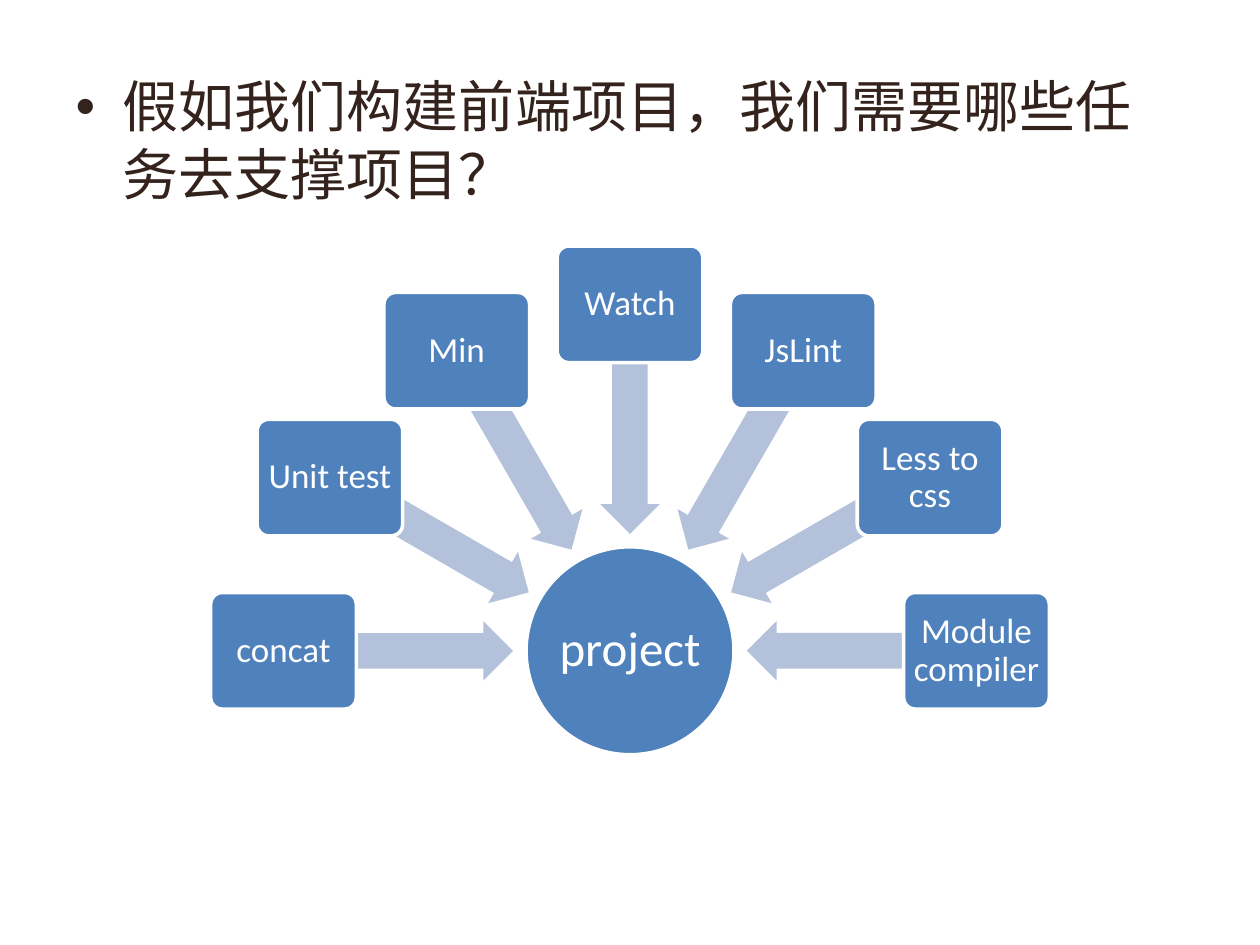
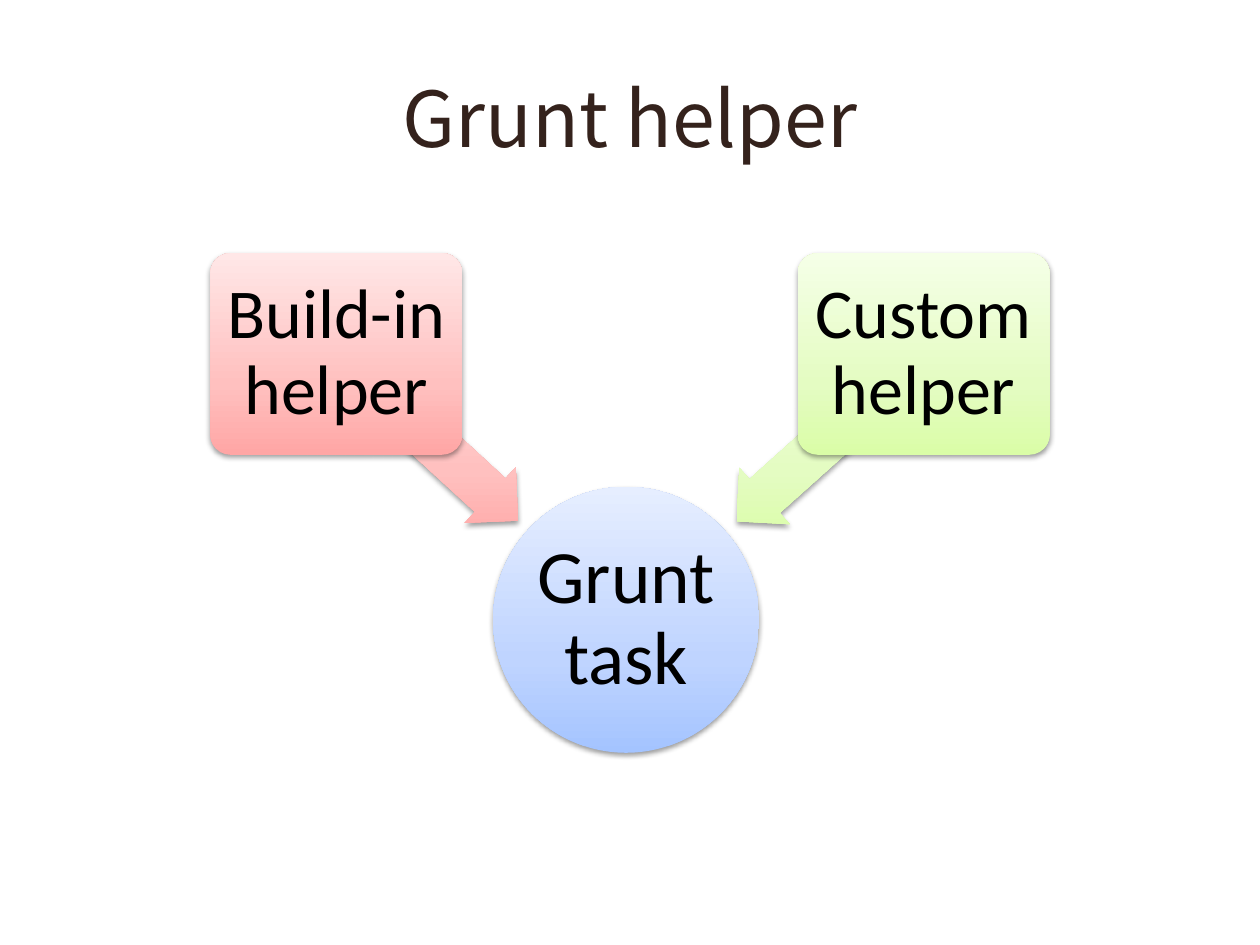
from math import cos, radians, sin

from lxml.etree import SubElement
from pptx import Presentation
from pptx.dml.color import RGBColor
from pptx.enum.shapes import MSO_SHAPE as Preset
from pptx.enum.text import MSO_ANCHOR as Anchor, PP_ALIGN as Align
from pptx.oxml.ns import qn
from pptx.util import Pt

BROWN = RGBColor(0x34, 0x22, 0x1C)
WHITE = RGBColor(0xFF, 0xFF, 0xFF)
BLACK = RGBColor(0x00, 0x00, 0x00)
BLUE = RGBColor(0x4F, 0x81, 0xBD)
PALE_BLUE = RGBColor(0xB3, 0xC1, 0xDB)

# Gradients run from the bottom of a shape to its top
STOPS = (0, 35, 100)
BLUES = (RGBColor(0xA4, 0xC4, 0xFF), RGBColor(0xBF, 0xD4, 0xFF), RGBColor(0xE6, 0xEE, 0xFF))
REDS = (RGBColor(0xFF, 0xA6, 0xA5), RGBColor(0xFF, 0xC0, 0xBF), RGBColor(0xFF, 0xE7, 0xE7))
GREENS = (RGBColor(0xDA, 0xFD, 0xA7), RGBColor(0xE4, 0xFC, 0xC2), RGBColor(0xF5, 0xFF, 0xE7))

HEADING_FONT = "Noto Sans CJK SC"
LABEL_FONT = "Calibri"

TASKS = ["concat", "Unit test", "Min", "Watch", "JsLint", "Less to css", "Module compiler"]


def write(frame, text, size, color, font=LABEL_FONT, align=None, spacing=None):
    """Put one formatted paragraph into a text frame."""
    paragraph = frame.paragraphs[0]
    paragraph.alignment = align
    paragraph.line_spacing = spacing
    run = paragraph.add_run()
    run.text = text
    run.font.size = Pt(size)
    run.font.name = font
    run.font.color.rgb = color
    SubElement(run.font._element, qn("a:ea"), typeface=font)


def place(holder, left, top, width, height):
    holder.left, holder.top = Pt(left), Pt(top)
    holder.width, holder.height = Pt(width), Pt(height)


def label(shape, text, size, color, inset):
    """Centre a label inside a shape."""
    frame = shape.text_frame
    frame.word_wrap = True
    frame.vertical_anchor = Anchor.MIDDLE
    frame.margin_left = frame.margin_right = Pt(inset)
    frame.margin_top = frame.margin_bottom = Pt(inset)
    write(frame, text, size, color, align=Align.CENTER, spacing=0.9)


def add_centred(diagram, preset, center, size, adjustments=(), rotation=0):
    """Add a preset shape by its centre, without line or shadow."""
    (x, y), (width, height) = center, size
    shape = diagram.shapes.add_shape(
        preset, Pt(x - width / 2), Pt(y - height / 2), Pt(width), Pt(height))
    for index, value in enumerate(adjustments):
        shape.adjustments[index] = value
    shape.rotation = rotation
    shape.shadow.inherit = False
    shape.line.fill.background()
    return shape


def add_circle(diagram, center, diameter):
    return add_centred(diagram, Preset.OVAL, center, (diameter, diameter))


def add_box(diagram, center, size):
    return add_centred(diagram, Preset.ROUNDED_RECTANGLE, center, size, [0.1])


def add_arrow(diagram, center, size, rotation):
    return add_centred(diagram, Preset.LEFT_ARROW, center, size, [0.6, 0.5], rotation)


def paint_flat(shape, color, outline=None):
    shape.fill.solid()
    shape.fill.fore_color.rgb = color
    if outline is not None:
        shape.line.color.rgb = outline
        shape.line.width = Pt(2)


def paint_raised(shape, colors):
    """Give a shape an upright three-stop gradient and a soft shadow below."""
    shape.fill.gradient()
    shape.fill.gradient_angle = 90
    properties = shape.element.spPr
    gradient = properties.find(qn("a:gradFill"))
    gradient.set("rotWithShape", "0")
    stops = gradient.find(qn("a:gsLst"))
    for old_stop in list(stops):
        stops.remove(old_stop)
    for position, color in zip(STOPS, colors):
        stop = SubElement(stops, qn("a:gs"), pos=str(position * 1000))
        SubElement(stop, qn("a:srgbClr"), val=str(color))

    shadow = SubElement(
        properties.find(qn("a:effectLst")), qn("a:outerShdw"),
        blurRad=str(Pt(3.1)), dist=str(Pt(1.6)), dir="5400000", rotWithShape="0")
    shade = SubElement(shadow, qn("a:srgbClr"), val=str(BLACK))
    SubElement(shade, qn("a:alpha"), val="38000")


def build_tasks_slide(deck):
    slide = deck.slides.add_slide(deck.slide_layouts[1])
    title, question = slide.placeholders
    title.element.getparent().remove(title.element)
    place(question, 36, 37.5, 648, 445)
    write(question.text_frame, "假如我们构建前端项目，我们需要哪些任务去支撑项目？",
          32, BROWN, font=HEADING_FONT)

    # Tasks fan out in a half circle around the project
    diagram = slide.shapes.add_group_shape()
    hub_x, hub_y = 360, 371.9
    project = add_circle(diagram, (hub_x, hub_y), 118.8)
    paint_flat(project, BLUE, WHITE)
    label(project, "project", 28, WHITE, inset=1.5)

    step = 180 / (len(TASKS) - 1)
    for index, task in enumerate(TASKS):
        angle = 180 + index * step

        def on_ray(radius):
            return (hub_x + radius * cos(radians(angle)),
                    hub_y + radius * sin(radians(angle)))

        arrow = add_arrow(diagram, on_ray(132.3), (131, 33.9), angle % 360)
        paint_flat(arrow, PALE_BLUE)
        box = add_box(diagram, on_ray(198), (83.2, 66.6))
        paint_flat(box, BLUE, WHITE)
        label(box, task, 20, WHITE, inset=2.7)


def build_helper_slide(deck):
    slide = deck.slides.add_slide(deck.slide_layouts[5])
    title = slide.shapes.title
    place(title, 36, 21.6, 648, 90)
    write(title.text_frame, "Grunt helper", 44, BROWN, font=HEADING_FONT, align=Align.CENTER)

    # Two kinds of helper feed the task
    diagram = slide.shapes.add_group_shape()
    task = add_circle(diagram, (357.8, 354.2), 152)
    paint_raised(task, BLUES)
    label(task, "Grunt task", 43, BLACK, inset=2)

    helpers = [
        ("Build-in helper", REDS, 192.2, 244.1, 141, 222.6),
        ("Custom helper", GREENS, 527.8, 474.5, 144, 318.1),
    ]
    for text, colors, box_x, arrow_x, arrow_length, rotation in helpers:
        arrow = add_arrow(diagram, (arrow_x, 249.8), (arrow_length, 43.2), rotation)
        paint_raised(arrow, colors)
        box = add_box(diagram, (box_x, 202.3), (144, 115.2))
        paint_raised(box, colors)
        label(box, text, 40, BLACK, inset=5.5)


def main():
    deck = Presentation()
    deck.slide_width, deck.slide_height = Pt(720), Pt(540)
    build_tasks_slide(deck)
    build_helper_slide(deck)
    deck.save("out.pptx")


main()
